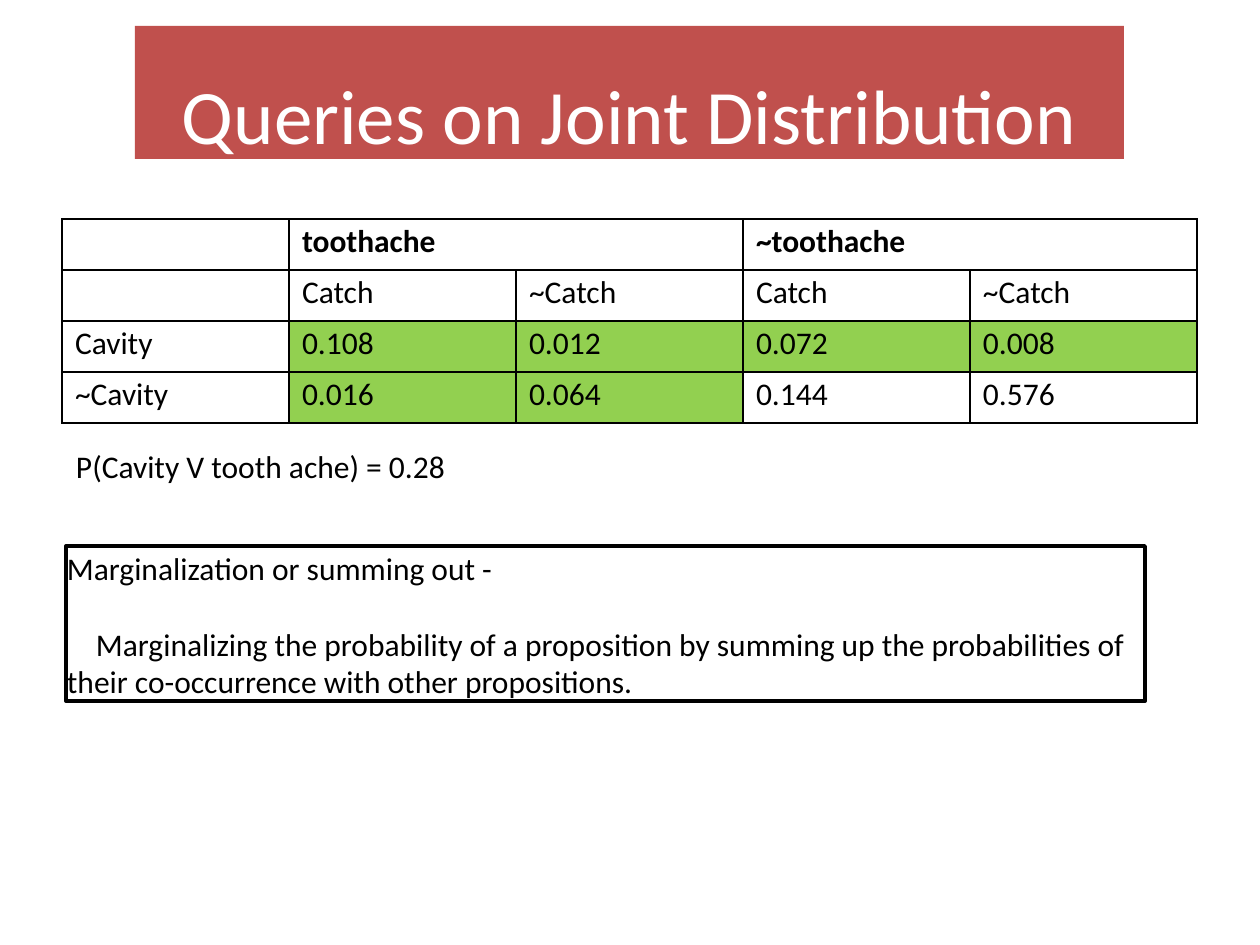
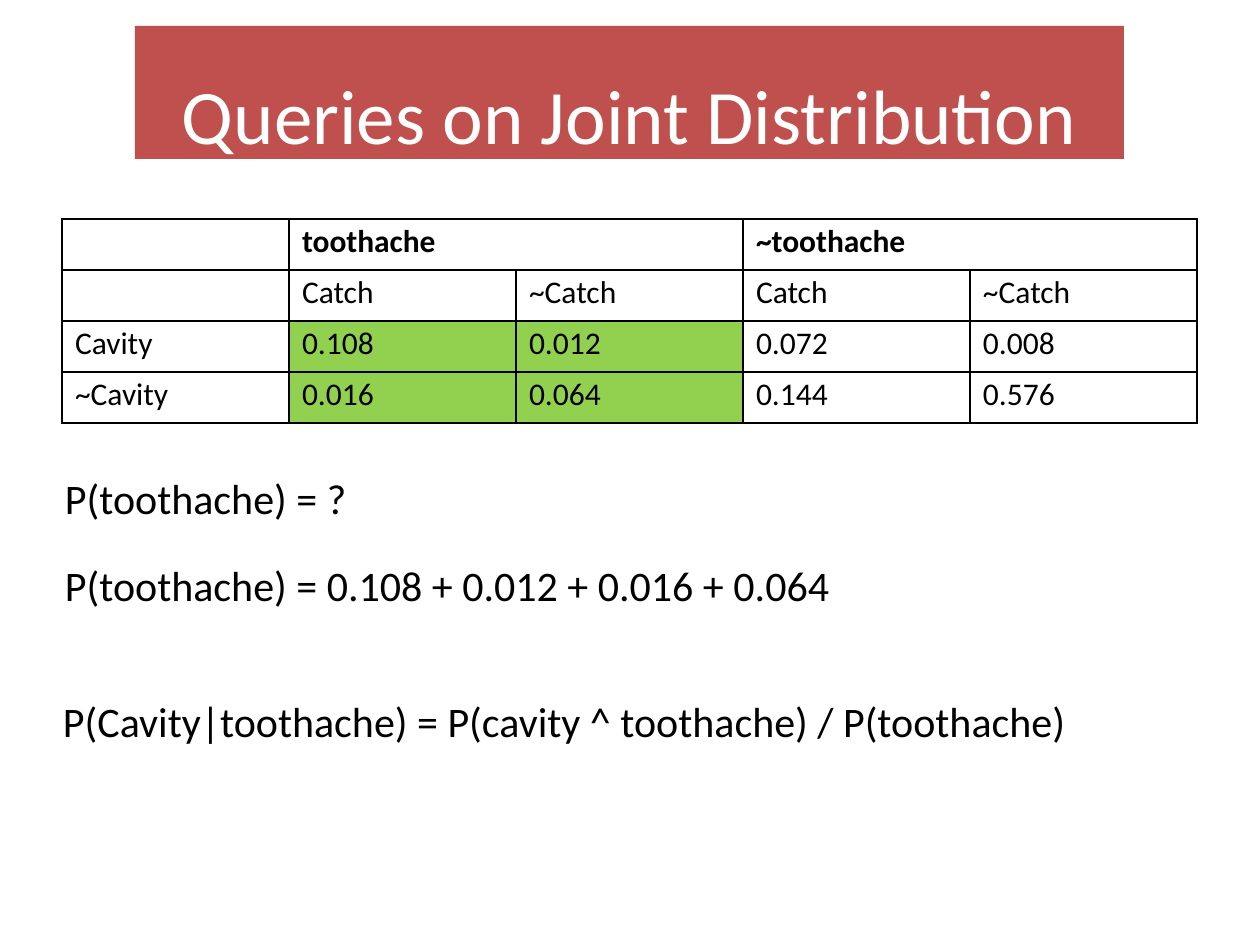
from lxml.etree import SubElement
from pptx import Presentation
from pptx.dml.color import RGBColor as Rgb
from pptx.enum.shapes import MSO_SHAPE as Shape
from pptx.enum.text import MSO_ANCHOR as Anchor, PP_ALIGN as Align
from pptx.oxml.ns import qn
from pptx.util import Emu, Pt

PX = 914400 / 126
FONT = "Calibri"
COLORS = {"ink": "000000", "paper": "FFFFFF", "band": "C0504D", "marked": "92D050"}

COLUMN_WIDTH, ROW_HEIGHT = 227, 51
JOINT_ROWS = [
    ["", "toothache", "", "~toothache", ""],
    ["", "Catch", "~Catch", "Catch", "~Catch"],
    ["Cavity", "0.108", "0.012", "0.072", "0.008"],
    ["~Cavity", "0.016", "0.064", "0.144", "0.576"],
]
TOOTHACHE_CELLS = {(row, column) for row in (2, 3) for column in (1, 2)}
CAVITY_CELLS = {(2, column) for column in range(1, 5)}


def px(length):
    return Emu(round(length * PX))


def color(name):
    return Rgb.from_string(COLORS[name])


def write(para, text, size=18, ink="ink", bold=False):
    span = para.add_run()
    span.text = text
    span.font.name = FONT
    span.font.size = Pt(size)
    span.font.bold = bold
    span.font.color.rgb = color(ink)


def add_text(page, text, left, top, width, height, fill=None, line=None,
             inset=(1, 3), gap=0, first_indent=0, **style):
    """Place text, one paragraph a line; gap and first_indent apply after the first."""
    place = [px(length) for length in (left, top, width, height)]
    if fill:
        box = page.shapes.add_shape(Shape.RECTANGLE, *place)
        box.shadow.inherit = False
        box.fill.solid()
        box.fill.fore_color.rgb = color(fill)
        if line:
            box.line.color.rgb = color(line)
            box.line.width = Pt(2.25)
        else:
            box.line.fill.background()
    else:
        box = page.shapes.add_textbox(*place)
    frame = box.text_frame
    frame.word_wrap = True
    frame.vertical_anchor = Anchor.TOP
    frame.margin_left, frame.margin_top = map(px, inset)
    frame.margin_right = frame.margin_bottom = 0
    for index, words in enumerate(text.split("\n")):
        para = frame.add_paragraph() if index else frame.paragraphs[0]
        para.alignment = Align.LEFT
        if index:
            para.space_before = Pt(gap)
            para._p.get_or_add_pPr().set("indent", str(px(first_indent)))
        write(para, words, **style)


def add_title(page):
    add_text(page, "Queries on Joint Distribution", 135, 26, 989, 133,
             fill="band", inset=(47, 41), size=44, ink="paper")


def add_borders(cell):
    for side in ("a:lnL", "a:lnR", "a:lnT", "a:lnB"):
        edge = SubElement(cell._tc.get_or_add_tcPr(), qn(side), w=str(Pt(1)))
        paint = SubElement(edge, qn("a:solidFill"))
        SubElement(paint, qn("a:srgbClr"), val=COLORS["ink"])


def add_joint_table(page, marked):
    """Draw the joint distribution with the marked (row, column) cells filled."""
    rows, columns = len(JOINT_ROWS), len(JOINT_ROWS[0])
    table = page.shapes.add_table(
        rows, columns, px(62), px(219),
        px(columns * COLUMN_WIDTH), px(rows * ROW_HEIGHT)).table
    table.first_row = table.horz_banding = False
    for column in table.columns:
        column.width = px(COLUMN_WIDTH)
    for row in table.rows:
        row.height = px(ROW_HEIGHT)
    for start in (1, 3):
        table.cell(0, start).merge(table.cell(0, start + 1))
    for row, texts in enumerate(JOINT_ROWS):
        for column, text in enumerate(texts):
            cell = table.cell(row, column)
            cell.margin_left, cell.margin_top = px(13), px(4)
            cell.margin_right = cell.margin_bottom = 0
            add_borders(cell)
            if (row, column) in marked:
                cell.fill.solid()
                cell.fill.fore_color.rgb = color("marked")
            else:
                cell.fill.background()
            if text:
                write(cell.text_frame.paragraphs[0], text, bold=row == 0)


def add_query_page(deck, marked):
    page = deck.slides.add_slide(deck.slide_layouts[6])
    add_title(page)
    add_joint_table(page, marked)
    return page


def main():
    deck = Presentation()
    deck.slide_width, deck.slide_height = px(1260), px(945)

    page = add_query_page(deck, CAVITY_CELLS | TOOTHACHE_CELLS)
    add_text(page, "P(Cavity V tooth ache) = 0.28", 75, 444, 400, 42)
    add_text(page, "Marginalization or summing out -\n"
             "Marginalizing the probability of a proposition by summing up the "
             "probabilities of their co-occurrence with other propositions.",
             66, 546, 1079, 155, fill="paper", line="ink", gap=21.6, first_indent=29)

    page = add_query_page(deck, TOOTHACHE_CELLS)
    for text, left, top, width in (
            ("P(toothache) = ?", 64, 470, 895),
            ("P(toothache) = 0.108 + 0.012 + 0.016 + 0.064", 64, 557, 895),
            ("P(Cavity|toothache) = P(cavity ^ toothache) / P(toothache)", 62, 693, 1134)):
        add_text(page, text, left, top, width, 53, size=24)

    deck.save("out.pptx")


if __name__ == "__main__":
    main()
